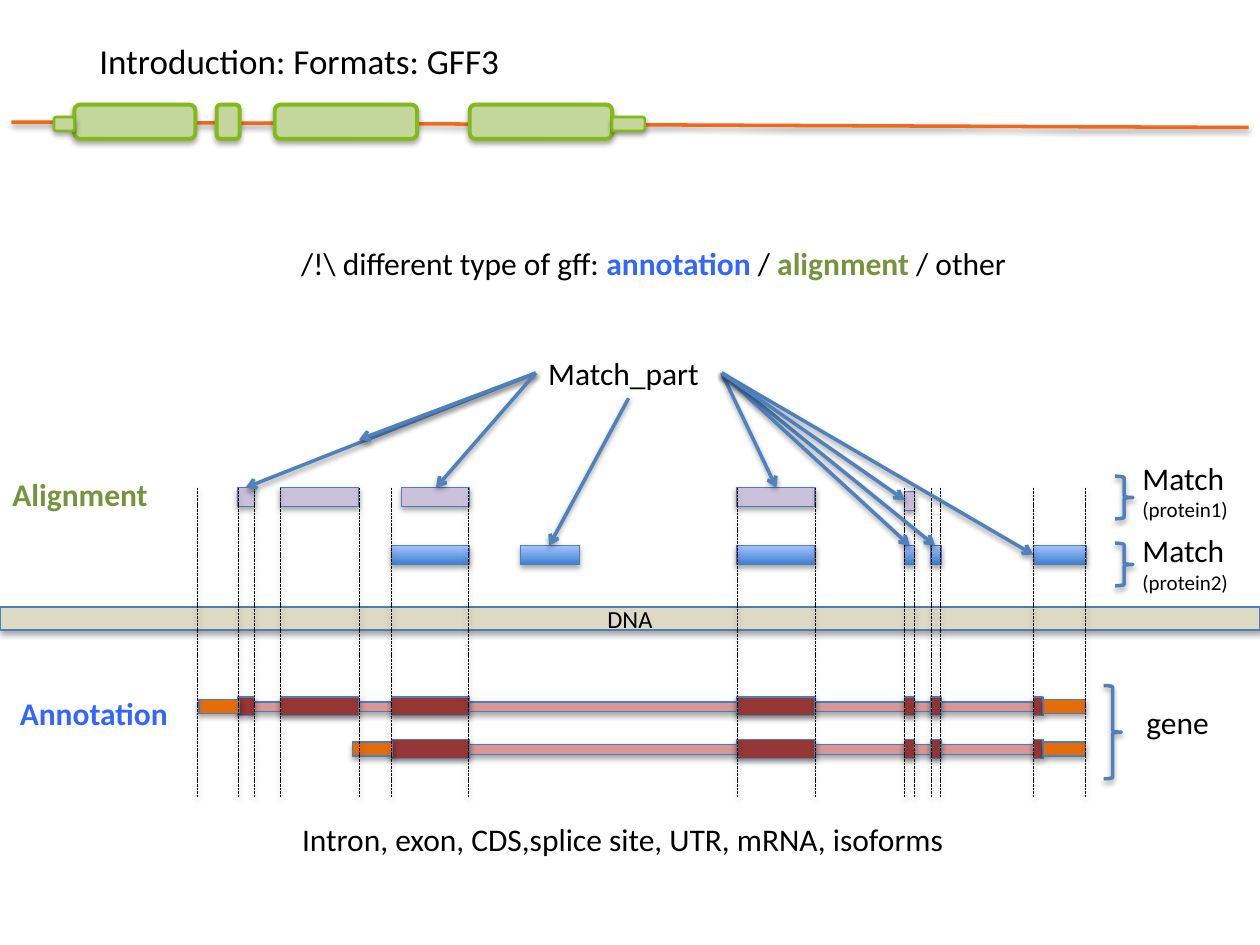
from lxml import etree
from pptx import Presentation
from pptx import util as u
from pptx.dml.color import RGBColor
from pptx.enum import dml, shapes, text
from pptx.oxml import ns

COLORS = {
    "text": "000000", "annotation": "3366FF", "alignment": "77933C",
    "strand": "F0681A", "gene": "C3D69B", "gene_edge": "84B919",
    "dna": "DDD9C3", "intron": "D99694", "exon": "953735", "utr": "E46C0A",
    "protein1": "CCC1DA", "protein2_dark": "3F80CE", "protein2_light": "A4C4FF",
    "edge": "4B7EBC", "arrow": "4F81BD",
}


def write(paragraph, content, size=18, color="text", bold=False, align=None):
    run = paragraph.add_run()
    run.text = content
    run.font.name = "Calibri"
    run.font.size = u.Pt(size)
    run.font.bold = bold
    run.font.color.rgb = RGBColor.from_string(COLORS[color])
    if align is not None:
        paragraph.alignment = align


def block(left, top, width, height, fill, edge="edge", weight=0.75,
          kind=shapes.MSO_SHAPE.RECTANGLE):
    part = slide.shapes.add_shape(kind, u.Cm(left), u.Cm(top), u.Cm(width), u.Cm(height))
    part.line.color.rgb = RGBColor.from_string(COLORS[edge])
    part.line.width = u.Pt(weight)
    if fill is None:
        part.fill.background()
    elif fill == "protein2":
        part.fill.gradient()
        part.fill.gradient_angle = 90
        for stop, shade in zip(part.fill.gradient_stops, ("dark", "light")):
            stop.color.rgb = RGBColor.from_string(COLORS["protein2_" + shade])
    else:
        part.fill.solid()
        part.fill.fore_color.rgb = RGBColor.from_string(COLORS[fill])
    return part


prs = Presentation()
prs.slide_width, prs.slide_height = u.Cm(25.4), u.Cm(19.05)
slide = prs.slides.add_slide(prs.slide_layouts[5])
CENTER = text.PP_ALIGN.CENTER

title = slide.shapes.title
title.left, title.top, title.width, title.height = u.Cm(1.27), u.Cm(0.61), u.Cm(9.53), u.Cm(1.22)
title.text_frame.vertical_anchor = text.MSO_ANCHOR.MIDDLE
write(title.text_frame.paragraphs[0], "Introduction: Formats: GFF3", size=20, align=CENTER)

strand = slide.shapes.add_connector(
    shapes.MSO_CONNECTOR.STRAIGHT, u.Cm(0.23), u.Cm(2.46), u.Cm(25.17), u.Cm(2.57))
strand.line.color.rgb = RGBColor.from_string(COLORS["strand"])
strand.line.width = u.Pt(2)

for left, width in [(1.5, 2.44), (4.37, 0.46), (5.54, 2.87), (9.47, 2.87)]:
    block(left, 2.11, width, 0.69, "gene", "gene_edge", 2.25, shapes.MSO_SHAPE.ROUNDED_RECTANGLE)
for left, width in [(12.34, 0.66), (1.09, 0.41)]:
    block(left, 2.36, width, 0.28, "gene", "gene_edge", 1.5, shapes.MSO_SHAPE.ROUNDED_RECTANGLE)

dna = block(0, 12.24, 25.4, 0.46, "dna")
dna.text_frame.vertical_anchor = text.MSO_ANCHOR.MIDDLE
write(dna.text_frame.paragraphs[0], "DNA", size=14, align=CENTER)

shared_exons = [(7.9, 1.57), (14.86, 1.57), (18.24, 0.2), (18.77, 0.2), (20.83, 0.2)]
isoforms = [
    (14.05, 5.03, 4.01, [(4.8, 0.33), (5.66, 1.57)] + shared_exons),
    (14.91, 7.9, 7.11, shared_exons),
]
for top, intron_left, utr_left, exons in isoforms:
    block(intron_left, top + 0.1, 20.83 - intron_left, 0.2, "intron")
    for left, width in exons:
        block(left, top, width, 0.38, "exon")
    for left, width in [(utr_left, 0.81), (21.03, 0.86)]:
        block(left, top + 0.05, width, 0.28, "utr")

for left, top, width in [(4.8, 9.83, 0.33), (5.66, 9.83, 1.57), (8.1, 9.83, 1.37),
                         (14.86, 9.83, 1.57), (18.24, 9.91, 0.2)]:
    block(left, top, width, 0.38, "protein1")
for left, width in [(7.9, 1.57), (10.49, 1.19), (14.86, 1.57),
                    (18.24, 0.2), (18.77, 0.2), (20.83, 1.07)]:
    block(left, 11, width, 0.38, "protein2")

for boundary in [3.99, 4.8, 5.13, 5.66, 7.24, 7.9, 9.45, 14.86, 16.43,
                 18.24, 18.44, 18.77, 18.95, 20.83, 21.89]:
    guide = slide.shapes.add_connector(
        shapes.MSO_CONNECTOR.STRAIGHT, u.Cm(boundary), u.Cm(9.83), u.Cm(boundary), u.Cm(16.08))
    guide.line.color.rgb = RGBColor.from_string(COLORS["text"])
    guide.line.width = u.Pt(0.5)
    guide.line.dash_style = dml.MSO_LINE.SQUARE_DOT

for left, top, height in [(22.25, 13.82, 1.88), (22.48, 10.95, 0.86), (22.48, 9.6, 0.86)]:
    block(left, top, 0.36, height, None, "arrow", 2, shapes.MSO_SHAPE.RIGHT_BRACE)

match_arrows = [
    ((10.8, 7.52), [(4.95, 9.83), (7.24, 8.86), (8.79, 9.83)]),
    ((12.67, 8.03), [(11.07, 11)]),
    ((14.55, 7.52), [(18.85, 11), (15.65, 9.83), (18.34, 11), (20.83, 11.18), (18.24, 10.08)]),
]
for (start_x, start_y), targets in match_arrows:
    for end_x, end_y in targets:
        arrow = slide.shapes.add_connector(
            shapes.MSO_CONNECTOR.STRAIGHT, u.Cm(start_x), u.Cm(start_y), u.Cm(end_x), u.Cm(end_y))
        arrow.line.color.rgb = RGBColor.from_string(COLORS["arrow"])
        arrow.line.width = u.Pt(2)
        etree.SubElement(arrow.line._get_or_add_ln(), ns.qn("a:tailEnd"), type="arrow")

labels = [
    (0.15, 13.87, 3.51, 1.02, None, [[("Annotation", {"color": "annotation", "bold": True})]]),
    (0, 9.45, 3.51, 1.02, None, [[("Alignment", {"color": "alignment", "bold": True})]]),
    (22.86, 14.05, 2.06, 1.02, None, [[("gene", {})]]),
    (22.78, 9.12, 2.6, 1.55, None, [[("Match", {})], [("(protein1)", {"size": 12})]]),
    (22.78, 10.59, 2.6, 1.55, None, [[("Match", {})], [("(protein2)", {"size": 12})]]),
    (10.8, 7.01, 3.76, 1.02, None, [[("Match_part", {})]]),
    (5.84, 16.41, 13.67, 1.02, None,
     [[("Intron, exon, CDS,splice site, UTR, mRNA, isoforms", {})]]),
    (4.45, 4.8, 17.45, 1.02, CENTER, [[
        ("/!\\ different type of gff: ", {}),
        ("annotation ", {"color": "annotation", "bold": True}),
        ("/ ", {}),
        ("alignment ", {"color": "alignment", "bold": True}),
        ("/ other", {}),
    ]]),
]
for left, top, width, height, align, lines in labels:
    label = slide.shapes.add_textbox(u.Cm(left), u.Cm(top), u.Cm(width), u.Cm(height)).text_frame
    label.word_wrap = True
    label.auto_size = text.MSO_AUTO_SIZE.SHAPE_TO_FIT_TEXT
    for number, runs in enumerate(lines):
        paragraph = label.add_paragraph() if number else label.paragraphs[0]
        for content, look in runs:
            write(paragraph, content, align=align, **look)

prs.save("out.pptx")
